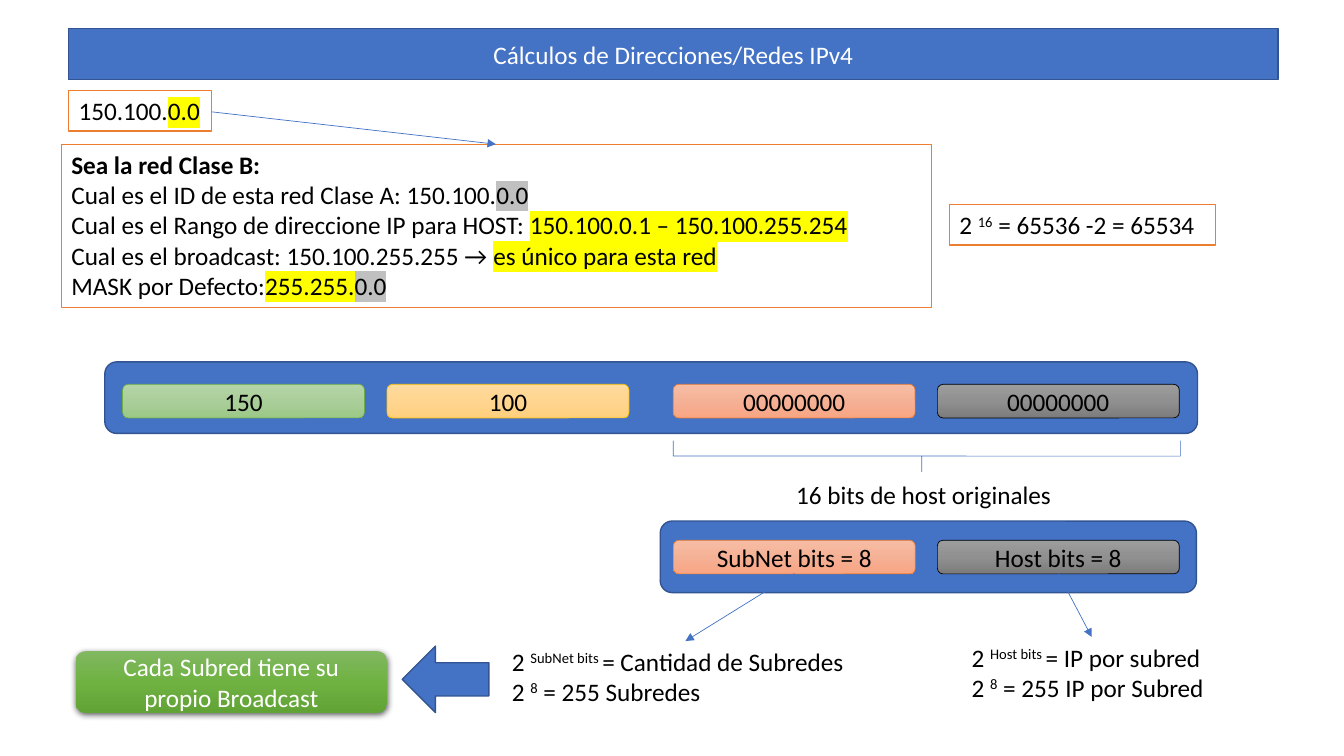
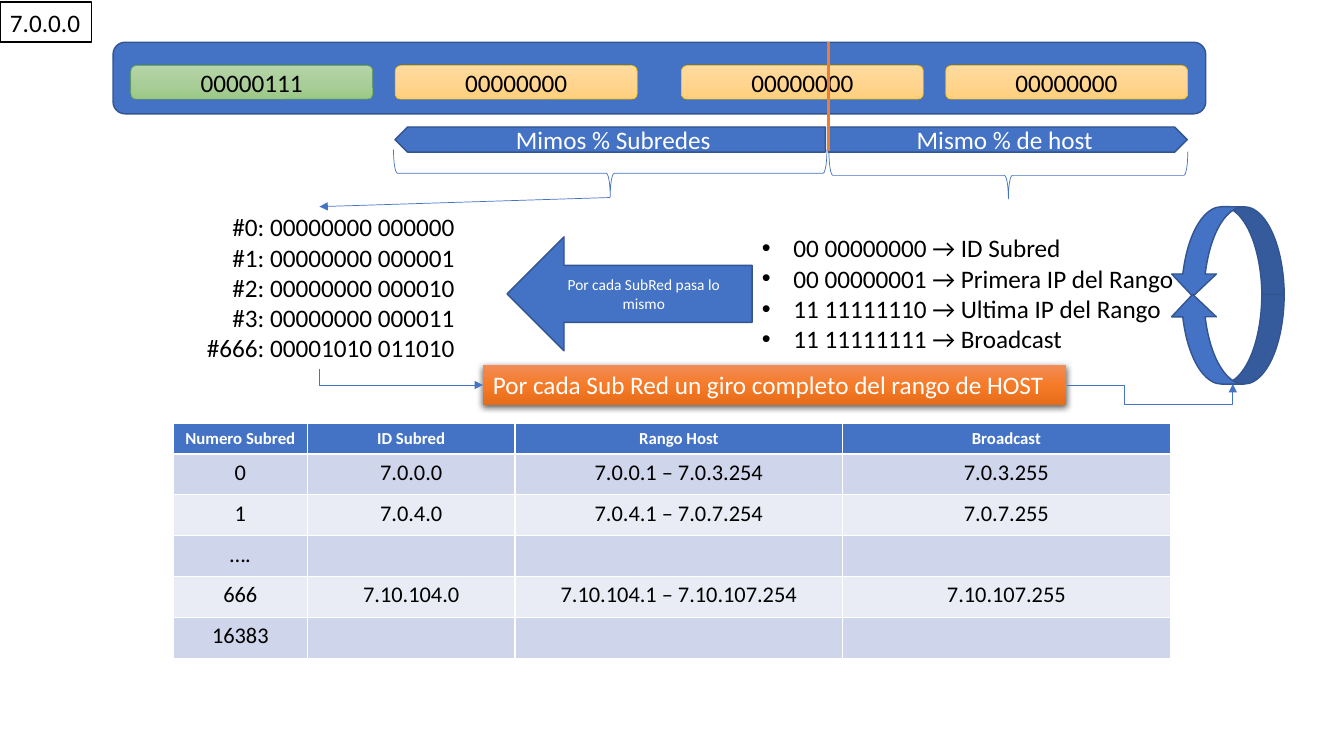
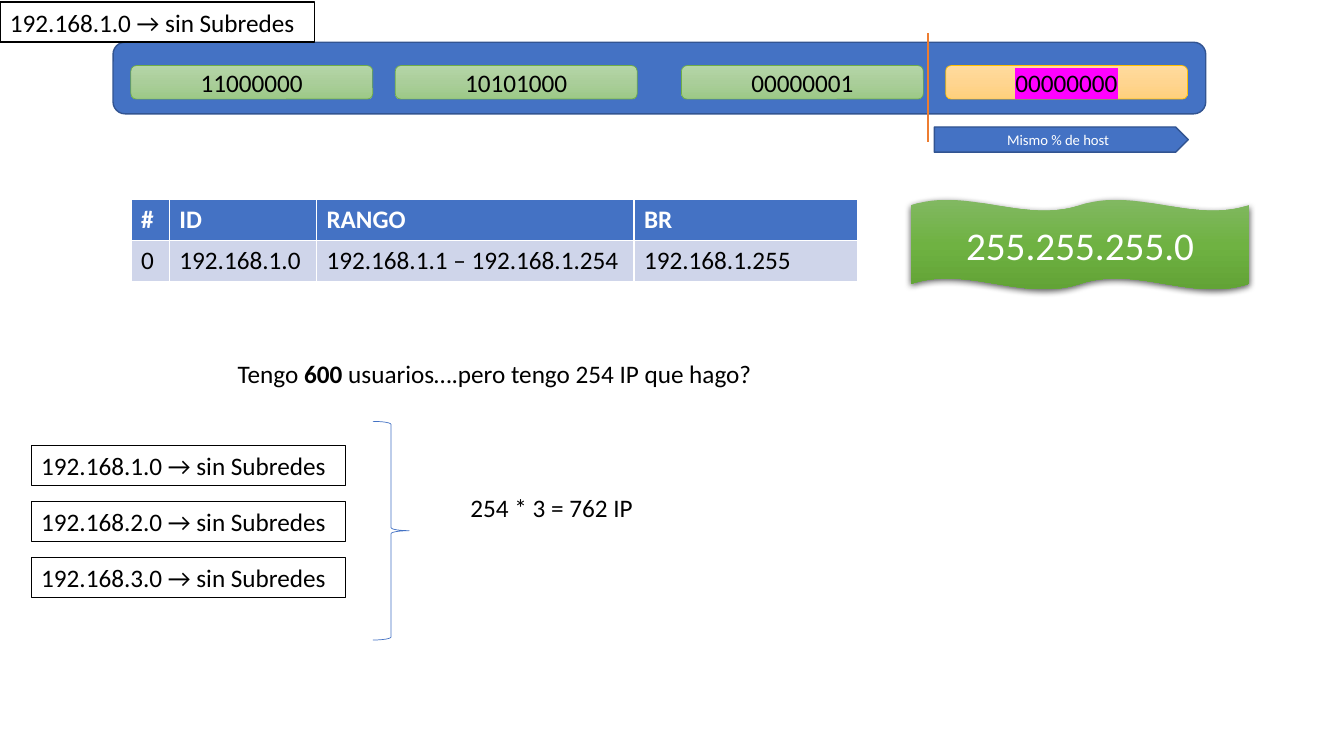
from copy import deepcopy
from dataclasses import dataclass

from pptx import Presentation
from pptx.dml.color import RGBColor
from pptx.enum.shapes import MSO_CONNECTOR, MSO_SHAPE as Preset
from pptx.enum.text import MSO_ANCHOR as Anchor, MSO_AUTO_SIZE as AutoSize, PP_ALIGN as Align
from pptx.oxml.ns import qn
from pptx.oxml.xmlchemy import OxmlElement as element
from pptx.util import Pt


@dataclass(frozen=True)
class Theme:
    font: str = "Calibri"
    blue: str = "4472C4"
    navy: str = "325491"
    orange: str = "ED7D31"
    white: str = "FFFFFF"
    black: str = "000000"
    yellow: str = "FFFF00"
    silver: str = "C0C0C0"
    magenta: str = "FF00FF"
    band_dark: str = "CFD5EA"
    band_light: str = "E9EBF5"
    green_glow: tuple = ("81B861", "6FB242", "62A336")
    orange_glow: tuple = ("F18C57", "F67B28", "E56C19")
    green_octet: tuple = (("B5D5A7", "AACE9A", "9CC987"), "70AD47")
    gold_octet: tuple = (("FFDB9E", "FFD590", "FFD07C"), "FFC000")
    coral_octet: tuple = (("F7BDA5", "F5B196", "F8A582"), "ED7D31")
    gray_octet: tuple = (("9D9D9D", "909090", "7C7C7C"), "000000")
    body: float = 18
    display: float = 28
    cell: float = 16
    header: float = 12
    note: float = 11
    small: float = 10.5
    hairline: float = 0.5
    rule: float = 1.5


theme = Theme()


def draw(page, preset, bounds, fill=theme.blue, edge=theme.navy, weight=1, shadow=False, turn=0):
    frame = [Pt(value) for value in bounds]
    if preset is None:
        return page.shapes.add_textbox(*frame)
    shape = page.shapes.add_shape(preset, *frame)
    shape.rotation = turn
    shape.shadow.inherit = False
    properties = shape._element.spPr
    if fill is None:
        shape.fill.background()
    elif isinstance(fill, tuple):
        shape.fill.gradient()
        shape.fill.gradient_angle = 270
        stop_list = properties.find(".//" + qn("a:gsLst"))
        stop_list.insert(1, deepcopy(stop_list[0]))
        for stop, color, position in zip(shape.fill.gradient_stops, fill, (0, 0.5, 1)):
            stop.color.rgb = RGBColor.from_string(color)
            stop.position = position
    else:
        shape.fill.solid()
        shape.fill.fore_color.rgb = RGBColor.from_string(fill)
    if edge is None:
        shape.line.fill.background()
    else:
        shape.line.color.rgb = RGBColor.from_string(edge)
        shape.line.width = Pt(weight)
    if shadow:
        glow = element("a:outerShdw")
        for name, value in (("blurRad", Pt(4.5)), ("dist", Pt(1.5)), ("dir", 5400000), ("rotWithShape", 0)):
            glow.set(name, str(int(value)))
        tint = element("a:srgbClr")
        tint.set("val", theme.black)
        alpha = element("a:alpha")
        alpha.set("val", "63000")
        tint.append(alpha)
        glow.append(tint)
        properties.find(qn("a:effectLst")).append(glow)
    return shape


def write(shape, lines, size=theme.body, color=theme.black, align=Align.LEFT, anchor=Anchor.TOP, wrap=True):
    frame = shape.text_frame
    frame.word_wrap = wrap
    frame.auto_size = AutoSize.NONE
    frame.vertical_anchor = anchor
    for index, line in enumerate(lines):
        para = frame.add_paragraph() if index else frame.paragraphs[0]
        para.alignment = align
        for text, style in [(line, None)] if isinstance(line, str) else line:
            span = para.add_run()
            span.text = text
            span.font.size = Pt(size)
            span.font.name = theme.font
            span.font.color.rgb = RGBColor.from_string(color)
            properties = span._r.get_or_add_rPr()
            if style == "bold":
                span.font.bold = True
            elif style == "raised":
                properties.set("baseline", "30000")
            elif style:
                marker = element("a:highlight")
                ink = element("a:srgbClr")
                ink.set("val", style)
                marker.append(ink)
                properties.find(qn("a:solidFill")).addnext(marker)


deck = Presentation()
deck.slide_width, deck.slide_height = Pt(960), Pt(540)
class_b = deck.slides.add_slide(deck.slide_layouts[5])
class_a = deck.slides.add_slide(deck.slide_layouts[6])
class_c = deck.slides.add_slide(deck.slide_layouts[6])
centered = {"align": Align.CENTER, "anchor": Anchor.MIDDLE}

title = class_b.shapes.title
title.left, title.top, title.width, title.height = Pt(49), Pt(20.2), Pt(864), Pt(36.7)
outline = element("a:prstGeom")
outline.set("prst", "roundRect")
outline.append(element("a:avLst"))
title._element.spPr.find(qn("a:xfrm")).addnext(outline)
title.fill.solid()
title.fill.fore_color.rgb = RGBColor.from_string(theme.blue)
title.line.color.rgb = RGBColor.from_string(theme.navy)
title.line.width = Pt(1)
write(title, ["Cálculos de Direcciones/Redes IPv4"], color=theme.white, **centered)

address_slots = (12.7, 201.6, 406, 594.7)
host_slots = (9.4, 198)
green, gold, coral, gray = theme.green_octet, theme.gold_octet, theme.coral_octet, theme.gray_octet
address_bars = [
    (class_b, 74.9, 258.5, 780.5, 16, address_slots,
     [("150", green), ("100", gold), ("00000000", coral), ("00000000", gray)]),
    (class_b, 471.6, 372.2, 383, 13.7, host_slots,
     [("SubNet bits = 8", coral), ("Host bits = 8", gray)]),
    (class_a, 80.8, 30.2, 780.5, 16.6, address_slots,
     [("00000111", green), ("00000000", gold), ("00000000", gold), ("00000000", gold)]),
    (class_c, 80.8, 30.2, 780.5, 16.6, address_slots,
     [("11000000", green), ("10101000", green), ("00000001", green),
      ([("00000000", theme.magenta)], gold)]),
]
for page, left, top, width, drop, slots, octets in address_bars:
    draw(page, Preset.ROUNDED_RECTANGLE, (left, top, width, 51.1))
    for slot, (text, (fill, edge)) in zip(slots, octets):
        octet = draw(page, Preset.ROUNDED_RECTANGLE, (left + slot, top + drop, 172.8, 24),
                     fill, edge, theme.hairline)
        write(octet, [text], **centered)

framed_texts = [
    (class_b, (49, 64.8, 102.2, 28.8), theme.orange, False, [[("150.100.", None), ("0.0", theme.yellow)]]),
    (class_b, (43.9, 103, 621.4, 116.6), theme.orange, True, [
        [("Sea la red Clase B:", "bold")],
        [("Cual es el ID de esta red Clase A: 150.100.", None), ("0.0", theme.silver)],
        [("Cual es el Rango de direccione IP para HOST: ", None),
         ("150.100.0.1 – 150.100.255.254", theme.yellow)],
        [("Cual es el broadcast: 150.100.255.255 → ", None), ("es único para esta red", theme.yellow)],
        [("MASK por Defecto:", None), ("255.255.", theme.yellow), ("0.0", theme.silver)],
    ]),
    (class_b, (678.2, 146.2, 190.1, 28.8), theme.orange, False,
     [[("2 ", None), ("16", "raised"), (" = 65536 -2 = 65534", None)]]),
    (class_a, (0, 1.4, 65.5, 28.8), theme.black, False, ["7.0.0.0"]),
    (class_c, (0, 1.4, 224.6, 28.8), theme.black, True, ["192.168.1.0 → sin Subredes"]),
]
for number in (1, 2, 3):
    framed_texts.append((class_c, (22.3, 278.2 + 40 * number, 224.6, 28.8), theme.black, True,
                         [f"192.168.{number}.0 → sin Subredes"]))
for page, bounds, edge, wrap, lines in framed_texts:
    write(draw(page, Preset.RECTANGLE, bounds, theme.white, edge), lines, wrap=wrap)

plain_texts = [
    (class_b, (561.6, 339.1, 198.7, 28.8), ["16 bits de host originales"]),
    (class_b, (358.6, 457.9, 262.1, 51.1), [
        [("2 ", None), ("SubNet bits ", "raised"), ("= Cantidad de Subredes", None)],
        [("2 ", None), ("8", "raised"), (" = 255 Subredes", None)],
    ]),
    (class_b, (686.9, 455, 185.8, 51.1), [
        [("2 ", None), ("Host bits ", "raised"), ("= IP por subred", None)],
        [("2 ", None), ("8", "raised"), (" = 255 IP por Subred", None)],
    ]),
    (class_c, (162.7, 252.7, 385.9, 28.8),
     [[("Tengo ", None), ("600", "bold"), (" usuarios….pero tengo 254 IP que hago?", None)]]),
    (class_c, (329, 347.8, 131.8, 28.8), ["254 * 3 = 762 IP"]),
]
for page, bounds, lines in plain_texts:
    write(draw(page, None, bounds), lines, wrap=False)

braces = [
    (class_b, Preset.RIGHT_BRACE, (650.9, 144.7, 22.3, 362.2), 90, (0, 0.51)),
    (class_a, Preset.LEFT_BRACE, (703.4, -2.9, 33.8, 256.3), 270, ()),
    (class_a, Preset.LEFT_BRACE, (419, -31, 33.8, 309.6), 270, ()),
    (class_c, Preset.RIGHT_BRACE, (266.4, 301, 25.9, 156.2), 0, ()),
]
for page, preset, bounds, turn, bends in braces:
    brace = draw(page, preset, bounds, None, theme.blue, theme.hairline, turn=turn)
    for index, bend in enumerate(bends):
        brace.adjustments[index] = bend

draw(class_b, Preset.LEFT_ARROW, (287.3, 461.5, 61.9, 47.5))
broadcast_note = draw(class_b, Preset.ROUNDED_RECTANGLE, (54, 465.1, 222.5, 43.9),
                      theme.green_glow, None, shadow=True)
write(broadcast_note, ["Cada Subred tiene su propio Broadcast"], color=theme.white, **centered)

range_plates = [
    (class_a, (591.8, 90.7, 256.3, 18), "Mismo % de host", theme.body, False),
    (class_a, (282.2, 90.7, 307.4, 18), "Mimos % Subredes", theme.body, True),
    (class_c, (667.4, 90.7, 181.4, 18), "Mismo % de host", theme.small, False),
]
for page, bounds, text, size, mirrored in range_plates:
    plate = draw(page, Preset.PENTAGON, bounds)
    if mirrored:
        plate._element.spPr.find(qn("a:xfrm")).set("flipH", "1")
    write(plate, [text], size, theme.white, **centered)

host_range = draw(class_a, None, (537.1, 162.7, 313.2, 94.3))
write(host_range, ["00 00000000 → ID Subred", "00 00000001 → Primera IP del Rango",
                   "11 11111110 → Ultima IP del Rango", "11 11111111 → Broadcast"], wrap=False)
for para in host_range.text_frame.paragraphs:
    properties = para._p.get_or_add_pPr()
    properties.set("marL", str(Pt(22.5)))
    properties.set("indent", str(-Pt(22.5)))
    bullet_font = element("a:buFont")
    bullet_font.set("typeface", "Arial")
    bullet = element("a:buChar")
    bullet.set("char", "•")
    properties.extend([bullet_font, bullet])

repeat_arrow = draw(class_a, Preset.LEFT_ARROW, (362.2, 169.2, 175, 81.4))
write(repeat_arrow, ["Por cada SubRed pasa lo mismo"], theme.note, theme.white, **centered)
subnet_list = draw(class_a, None, (123.8, 147.6, 208.1, 116.6))
write(subnet_list, ["#0: 00000000 000000", "#1: 00000000 000001", "#2: 00000000 000010",
                    "#3: 00000000 000011", "#666: 00001010 011010"], align=Align.RIGHT)
for top, mirrored in ((139, False), (201.6, True)):
    cycle = draw(class_a, Preset.CURVED_RIGHT_ARROW, (844.6, top, 64.1, 81.4), turn=90)
    if mirrored:
        cycle._element.spPr.find(qn("a:xfrm")).set("flipH", "1")
cycle_note = draw(class_a, Preset.RECTANGLE, (344.9, 260.6, 416.9, 28.8),
                  theme.orange_glow, None, shadow=True)
write(cycle_note, ["Por cada Sub Red un giro completo del rango de HOST"], color=theme.white, wrap=False)

mask_wave = draw(class_c, Preset.DOUBLE_WAVE, (650.9, 142.6, 241.2, 64.1),
                 theme.green_glow, None, shadow=True)
write(mask_wave, ["255.255.255.0"], theme.display, theme.white, **centered)

arrow = (theme.blue, theme.hairline, True)
divider = (theme.orange, theme.rule, False)
links = [
    (class_b, (151.2, 79.9, 354.2, 103), arrow, "line", 0, ()),
    (class_b, (567.4, 409.7, 489.6, 457.9), arrow, "line", 0, ()),
    (class_b, (756, 409.7, 779.8, 455), arrow, "line", 0, ()),
    (class_a, (591.8, 30.2, 591.8, 108), divider, "line", 0, ()),
    (class_a, (435.6, 141.1, 228.2, 147.6), arrow, "line", 0, ()),
    (class_a, (292.3, 211, 280.8, 327.6), arrow, "bentConnector2", 270, ()),
    (class_a, (761.8, 275, 880.6, 274.3), arrow, "bentConnector4", 0, (34800, -1957000)),
    (class_c, (663.1, 23.8, 663.1, 101.5), divider, "line", 0, ()),
]
for page, ends, (color, weight, pointed), preset, turn, bends in links:
    link = page.shapes.add_connector(MSO_CONNECTOR.STRAIGHT, *[Pt(value) for value in ends])
    link.line.color.rgb = RGBColor.from_string(color)
    link.line.width = Pt(weight)
    properties = link._element.spPr
    properties.append(element("a:effectLst"))
    if turn:
        properties.find(qn("a:xfrm")).set("rot", str(turn * 60000))
    geometry = properties.find(qn("a:prstGeom"))
    geometry.set("prst", preset)
    for index, bend in enumerate(bends, 1):
        guide = element("a:gd")
        guide.set("name", f"adj{index}")
        guide.set("fmla", f"val {bend}")
        geometry.find(qn("a:avLst")).append(guide)
    if pointed:
        head = element("a:tailEnd")
        head.set("type", "triangle")
        properties.find(qn("a:ln")).append(head)

tables = [
    (class_a, (123.8, 302.4), (95.8, 148.3, 234, 234), 21.6, theme.header, theme.cell, Align.CENTER, [
        ("Numero Subred", "ID Subred", "Rango Host", "Broadcast"),
        ("0", "7.0.0.0", "7.0.0.1 – 7.0.3.254", "7.0.3.255"),
        ("1", "7.0.4.0", "7.0.4.1 – 7.0.7.254", "7.0.7.255"),
        ("….", "", "", ""),
        ("666", "7.10.104.0", "7.10.104.1 – 7.10.107.254", "7.10.107.255"),
        ("16383", "", "", ""),
    ]),
    (class_c, (93.6, 142.6), (27.4, 105.1, 226.8, 159.8), 29.2, theme.body, theme.body, Align.LEFT, [
        ("#", "ID", "RANGO", "BR"),
        ("0", "192.168.1.0", "192.168.1.1 – 192.168.1.254", "192.168.1.255"),
    ]),
]
for page, (left, top), widths, header_height, header_size, cell_size, align, rows in tables:
    height = header_height + 29.2 * (len(rows) - 1)
    grid = page.shapes.add_table(len(rows), len(widths), Pt(left), Pt(top), Pt(sum(widths)), Pt(height)).table
    for column, width in zip(grid.columns, widths):
        column.width = Pt(width)
    for row_index, texts in enumerate(rows):
        heading = row_index == 0
        grid.rows[row_index].height = Pt(header_height if heading else 29.2)
        band = theme.band_dark if row_index % 2 else theme.band_light
        for column_index, text in enumerate(texts):
            cell = grid.cell(row_index, column_index)
            cell.fill.solid()
            cell.fill.fore_color.rgb = RGBColor.from_string(theme.blue if heading else band)
            para = cell.text_frame.paragraphs[0]
            para.text = text
            para.alignment = align
            for span in para.runs:
                span.font.name = theme.font
                span.font.size = Pt(header_size if heading else cell_size)
                span.font.bold = heading
                span.font.color.rgb = RGBColor.from_string(theme.white if heading else theme.black)

deck.save("out.pptx")
